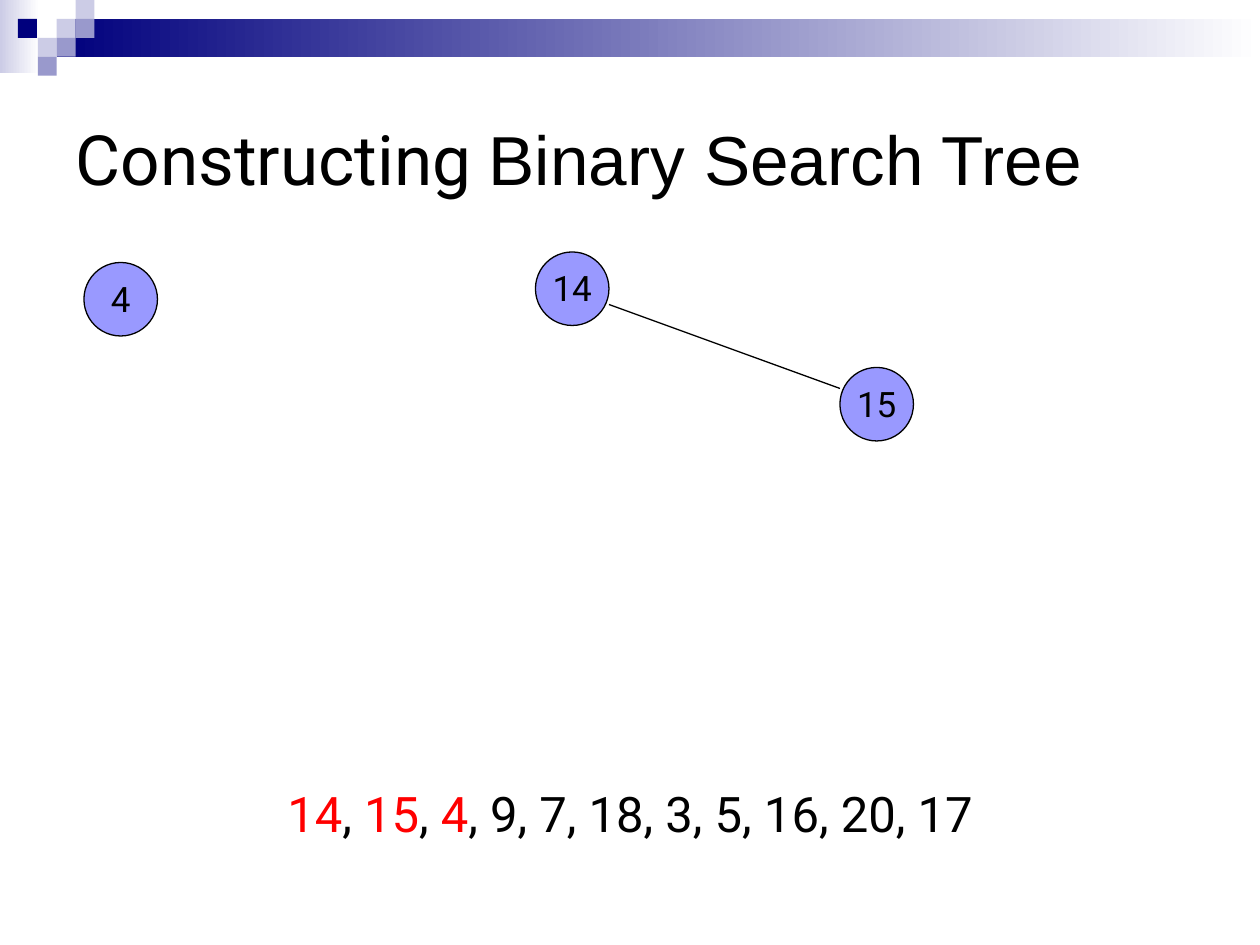
import pptx
import pptx.dml.color
import pptx.enum.shapes
import pptx.enum.text
import pptx.util

COLS, ROWS = 120, 90  # the slide grid, twelve cells to the inch
SQUARE = 1.8          # side of a corner square, in cells
NODE = 7              # diameter of a tree node, in cells

SHAPE = pptx.enum.shapes.MSO_SHAPE
ALIGN = pptx.enum.text.PP_ALIGN
ANCHOR = pptx.enum.text.MSO_ANCHOR


def rgb(value):
    return pptx.dml.color.RGBColor.from_string(value)


def add_run(p, text, size=20, font="Roboto", color="000000"):
    r = p.add_run()
    r.text = text
    r.font.size = pptx.util.Pt(size)
    r.font.name = font
    r.font.color.rgb = rgb(color)


class TreeSlide:
    navy, lilac, pale, white = "00007D", "9999CC", "CCCCE6", "FFFFFF"
    node_fill, ink, done = "9999FF", "000000", "FF0000"

    def __init__(self, prs):
        self.s = prs.slides.add_slide(prs.slide_layouts[5])
        self.cell_w = prs.slide_width / COLS
        self.cell_h = prs.slide_height / ROWS

    def place(self, *cells):
        """Turn alternating columns and rows into lengths."""
        sizes = (self.cell_w, self.cell_h) * (len(cells) // 2)
        return [pptx.util.Emu(round(n * size)) for n, size in zip(cells, sizes)]

    def shape(self, kind, box, *colors):
        """Add a borderless shape; two colours make a left-to-right gradient."""
        sp = self.s.shapes.add_shape(kind, *self.place(*box))
        sp.shadow.inherit = False
        sp.line.fill.background()
        if len(colors) == 1:
            sp.fill.solid()
            sp.fill.fore_color.rgb = rgb(colors[0])
        else:
            sp.fill.gradient()
            sp.fill.gradient_angle = 0
            for stop, color, position in zip(sp.fill.gradient_stops, colors, (0, 1)):
                stop.color.rgb = rgb(color)
                stop.position = position
        return sp

    def outline(self, line):
        line.color.rgb = rgb(self.ink)
        line.width = pptx.util.Pt(0.75)

    def title(self, box, *parts):
        sp = self.s.shapes.title
        sp.left, sp.top, sp.width, sp.height = self.place(*box)
        tf = sp.text_frame
        tf.auto_size = pptx.enum.text.MSO_AUTO_SIZE.NONE
        tf.vertical_anchor = ANCHOR.MIDDLE
        p = tf.paragraphs[0]
        p.alignment = ALIGN.LEFT
        for text, font in parts:
            add_run(p, text, size=39.6, font=font)

    def text(self, box):
        """Add a text box and return its centred paragraph."""
        tf = self.s.shapes.add_textbox(*self.place(*box)).text_frame
        tf.word_wrap = True
        p = tf.paragraphs[0]
        p.alignment = ALIGN.CENTER
        return p

    def node(self, key, col, row):
        sp = self.shape(SHAPE.OVAL, (col, row, NODE, NODE), self.node_fill)
        self.outline(sp.line)
        add_run(self.text((col - 1, row + 0.8, NODE + 2, 5.2)), str(key))

    def edge(self, parent, child):
        """Join a node's right side to the left side of its right child."""
        ends = (parent[0] + NODE, parent[1] + 5, child[0], child[1] + 2)
        line = self.s.shapes.add_connector(
            pptx.enum.shapes.MSO_CONNECTOR.STRAIGHT, *self.place(*ends))
        self.outline(line.line)
        line._element.spPr.append(pptx.oxml.xmlchemy.OxmlElement("a:effectLst"))

    def sequence(self, box, keys, inserted):
        p = self.text(box)
        p.space_before = pptx.util.Pt(5.6)
        for i, key in enumerate(keys):
            if i:
                add_run(p, ", ", size=28)
            add_run(p, str(key), size=28, color=self.done if i < inserted else self.ink)

    def banner(self):
        self.shape(SHAPE.RECTANGLE, (0, 0, 3.75, 7), self.pale, self.white)
        self.shape(SHAPE.RECTANGLE, (3 * SQUARE, SQUARE, COLS - 3 * SQUARE, 2 * SQUARE),
                   self.navy, self.white)
        squares = [(3, 1, self.pale), (4, 0, self.pale), (4, 1, self.lilac),
                   (2, 2, self.pale), (0.95, 1, self.navy), (3, 2, self.lilac),
                   (2, 3, self.lilac)]
        for col, row, color in squares:
            self.shape(SHAPE.RECTANGLE, (col * SQUARE, row * SQUARE, SQUARE, SQUARE), color)


def main():
    prs = pptx.Presentation()
    prs.slide_width = pptx.util.Inches(10)
    prs.slide_height = pptx.util.Inches(7.5)

    slide = TreeSlide(prs)
    slide.banner()
    slide.title((6, 6, 108, 18), ("Constructing ", "Roboto"), ("Binary Search Tree", "Arial"))
    slide.sequence((6, 74, 108, 9), [14, 15, 4, 9, 7, 18, 3, 5, 16, 20, 17], inserted=3)

    nodes = {14: (51, 24), 15: (80, 35), 4: (8, 25)}
    for key, spot in nodes.items():
        slide.node(key, *spot)
    slide.edge(nodes[14], nodes[15])

    prs.save("out.pptx")


if __name__ == "__main__":
    main()
